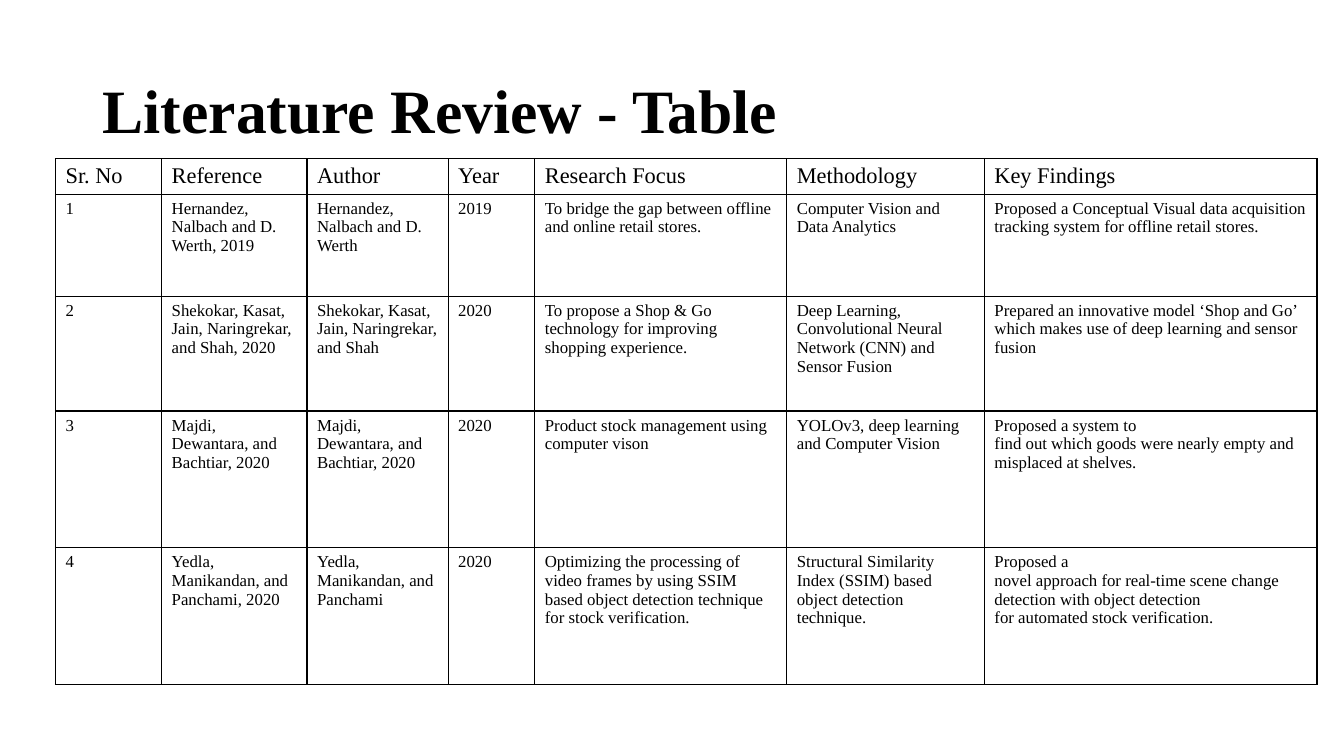
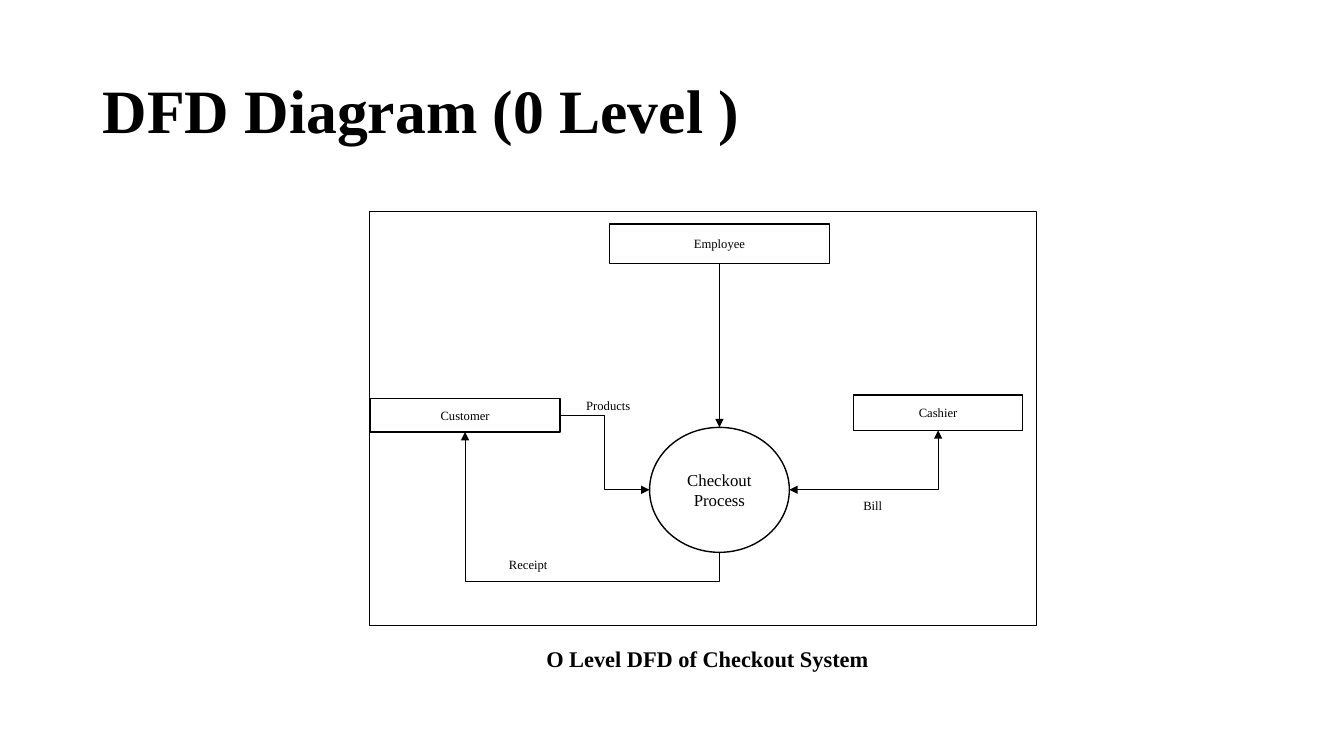
"""Build two slides: a literature table and a checkout data flow diagram."""
from dataclasses import dataclass

from lxml import etree
from pptx import Presentation, util as u
from pptx.dml.color import RGBColor
from pptx.enum import shapes, text
from pptx.oxml import ns

WIDE, HIGH = u.Inches(13.33), u.Inches(7.5)
ELBOW = shapes.MSO_CONNECTOR.ELBOW


@dataclass(frozen=True)
class Theme:
    """Colours, type and line sizes of the deck."""
    font: str = "Times New Roman"
    ink: RGBColor = RGBColor(0, 0, 0)
    paper: RGBColor = RGBColor(255, 255, 255)
    title: int = 44
    head: int = 16
    body: int = 12
    small: int = 9
    edge: float = 1
    frame: float = 0.75
    flow: float = 0.5


THEME = Theme()
TITLE = (6.9, 5.33, 86.27, 19.33)
COLS = (7.9, 10.82, 10.5, 6.45, 18.75, 14.7, 24.75)
ROWS = (4.7, 13.47, 15.2, 18.1, 18.1)
MID = 53.53
LEFT = 27.53

CELLS = (
    ("Sr. No", "Reference", "Author", "Year", "Research Focus",
     "Methodology", "Key Findings"),
    ("1", "Hernandez, Nalbach and D. Werth, 2019",
     "Hernandez, Nalbach and D. Werth", "2019",
     "To bridge the gap between offline and online retail stores.",
     "Computer Vision and Data Analytics",
     "Proposed a Conceptual Visual data acquisition tracking system "
     "for offline retail stores."),
    ("2", "Shekokar, Kasat, Jain, Naringrekar, and Shah, 2020",
     "Shekokar, Kasat, Jain, Naringrekar, and Shah", "2020",
     "To propose a Shop & Go technology for improving shopping experience.",
     "Deep Learning, Convolutional Neural Network (CNN) and Sensor Fusion",
     "Prepared an innovative model ‘Shop and Go’ which makes use of "
     "deep learning and sensor fusion"),
    ("3", "Majdi, Dewantara, and Bachtiar, 2020",
     "Majdi, Dewantara, and Bachtiar, 2020", "2020",
     "Product stock management using computer vison",
     "YOLOv3, deep learning and Computer Vision",
     "Proposed a system to\nfind out which goods were nearly empty and "
     "misplaced at shelves."),
    ("4", "Yedla, Manikandan, and Panchami, 2020",
     "Yedla, Manikandan, and Panchami", "2020",
     "Optimizing the processing of video frames by using SSIM based object "
     "detection technique for stock verification.",
     "Structural Similarity Index (SSIM) based object detection technique.",
     "Proposed a\nnovel approach for real-time scene change detection with "
     "object detection\nfor automated stock verification."),
)


def across(share):
    """Turn a percentage of the slide's width into a length."""
    return u.Emu(round(WIDE * share / 100))


def down(share):
    """Turn a percentage of the slide's height into a length."""
    return u.Emu(round(HIGH * share / 100))


def place(x, y, w, h):
    """Turn four percentages into left, top, width and height."""
    return across(x), down(y), across(w), down(h)


def write(frame, words, size, bold=False, align=text.PP_ALIGN.LEFT):
    """Fill a text frame, one paragraph a line."""
    frame.word_wrap = True
    for i, line in enumerate(words.split("\n")):
        para = frame.add_paragraph() if i else frame.paragraphs[0]
        para.alignment = align
        run = para.add_run()
        run.text = line
        run.font.name, run.font.size = THEME.font, u.Pt(size)
        run.font.bold, run.font.color.rgb = bold, THEME.ink


def start(deck, words):
    """Add a slide with the shared title style."""
    slide = deck.slides.add_slide(deck.slide_layouts[5])
    title = slide.shapes.title
    title.left, title.top, title.width, title.height = place(*TITLE)
    frame = title.text_frame
    write(frame, words, THEME.title, bold=True)
    frame.auto_size = text.MSO_AUTO_SIZE.NONE
    frame.vertical_anchor = text.MSO_ANCHOR.MIDDLE
    frame.paragraphs[0].line_spacing = 0.9
    return slide


def rule(cell):
    """Draw thin ink borders round a table cell."""
    props = cell._tc.get_or_add_tcPr()
    for side in ("lnL", "lnR", "lnT", "lnB"):
        line = etree.SubElement(props, ns.qn(f"a:{side}"), w=str(u.Pt(THEME.edge)))
        fill = etree.SubElement(line, ns.qn("a:solidFill"))
        etree.SubElement(fill, ns.qn("a:srgbClr"), val=str(THEME.ink))


def grid(slide, x, y):
    """Add the table of reviewed papers."""
    area = place(x, y, sum(COLS), sum(ROWS))
    table = slide.shapes.add_table(len(ROWS), len(COLS), *area).table
    table.first_row = table.horz_banding = False
    for col, share in zip(table.columns, COLS):
        col.width = across(share)
    for i, (row, share) in enumerate(zip(table.rows, ROWS)):
        row.height = down(share)
        for cell, words in zip(row.cells, CELLS[i]):
            rule(cell)
            cell.fill.solid()
            cell.fill.fore_color.rgb = THEME.paper
            write(cell.text_frame, words, THEME.body if i else THEME.head)


def plate(slide, area, kind=shapes.MSO_SHAPE.RECTANGLE):
    """Add a paper-coloured shape without outline."""
    shape = slide.shapes.add_shape(kind, *place(*area))
    shape.shadow.inherit = False
    shape.fill.solid()
    shape.fill.fore_color.rgb = THEME.paper
    shape.line.fill.background()
    return shape


def box(slide, area, words="", size=THEME.small, edge=THEME.edge,
        kind=shapes.MSO_SHAPE.RECTANGLE):
    """Add an outlined shape with centred text."""
    shape = plate(slide, area, kind)
    shape.line.color.rgb, shape.line.width = THEME.ink, u.Pt(edge)
    if words:
        write(shape.text_frame, words, size, align=text.PP_ALIGN.CENTER)
        shape.text_frame.vertical_anchor = text.MSO_ANCHOR.MIDDLE
    return shape


def label(slide, area, words):
    """Add a small flow label on a plain plate."""
    frame = plate(slide, area).text_frame
    write(frame, words, THEME.small)
    frame.vertical_anchor = text.MSO_ANCHOR.TOP


def side(shape, site):
    """Find the middle of a side: 0 top, 1 left, 2 bottom, 3 right."""
    x, y = ((1, 0), (0, 1), (1, 2), (2, 1))[site]
    return shape.left + shape.width * x // 2, shape.top + shape.height * y // 2


def flow(slide, a, b, kind=ELBOW, head=False):
    """Draw a connector with an arrow at its end, or at both."""
    link = slide.shapes.add_connector(kind, *a, *b)
    link.line.color.rgb, link.line.width = THEME.ink, u.Pt(THEME.flow)
    line = link.line._get_or_add_ln()
    if head:
        etree.SubElement(line, ns.qn("a:headEnd"), type="triangle")
    etree.SubElement(line, ns.qn("a:tailEnd"), type="triangle")
    etree.SubElement(link._element.spPr, ns.qn("a:effectLst"))
    return link


def corner(slide, a, b):
    """Draw a two-way flow with a single bend."""
    link = flow(slide, a, b, head=True)
    link._element.spPr.find(ns.qn("a:prstGeom")).set("prst", "bentConnector2")


def loop(slide, a, b, low):
    """Draw a flow that dips to a low line, then climbs to the upper left."""
    wide, high = a[1] - b[1], a[0] - b[0]
    x, y = (a[0] + b[0]) // 2, (a[1] + b[1]) // 2
    link = flow(slide, (x - wide // 2, y + high // 2),
                (x + wide // 2, y - high // 2))
    props = link._element.spPr
    props.find(ns.qn("a:xfrm")).set("rot", str(270 * 60000))
    dip = round((a[1] - low) / wide * 100000)
    guides = props.find(ns.qn("a:prstGeom")).find(ns.qn("a:avLst"))
    etree.SubElement(guides, ns.qn("a:gd"), name="adj1", fmla=f"val {dip}")


def review(deck):
    """Build the literature slide."""
    grid(start(deck, "Literature Review - Table"), 4.13, 21)


def chart(deck):
    """Build the data flow slide."""
    slide = start(deck, "DFD Diagram (0 Level )")
    box(slide, (LEFT, 28, 49.59, 54.8), edge=THEME.frame)
    staff = box(slide, (MID - 8.2, 29.65, 16.4, 5.2), "Employee")
    buyer = box(slide, (LEFT, 52.75, 14.15, 4.4), "Customer")
    till = box(slide, (63.5, 52.27, 12.6, 4.67), "Cashier")
    check = box(slide, (MID - 5.2, 56.53, 10.4, 16.53), "Checkout Process",
                THEME.body, kind=shapes.MSO_SHAPE.FLOWCHART_CONNECTOR)
    label(slide, (63.5, 65.2, 4.2, 3.87), "Bill")
    label(slide, (42.88, 52, 6.3, 4), "Products")
    label(slide, (37.13, 73.07, 5.63, 4.67), "Receipt")

    link = flow(slide, side(staff, 2), side(check, 0),
                shapes.MSO_CONNECTOR.STRAIGHT)
    link.begin_connect(staff, 2)
    link.end_connect(check, 0)
    corner(slide, side(check, 3), side(till, 2))
    flow(slide, side(buyer, 3), side(check, 1))
    loop(slide, side(check, 2), side(buyer, 2), down(76.93))

    note = slide.shapes.add_textbox(*place(39.91, 84.67, 28.28, 4.93))
    write(note.text_frame, "O Level DFD of Checkout System", THEME.head, bold=True)


def main():
    """Build and save the deck."""
    deck = Presentation()
    deck.slide_width, deck.slide_height = WIDE, HIGH
    review(deck)
    chart(deck)
    deck.save("out.pptx")


if __name__ == "__main__":
    main()
